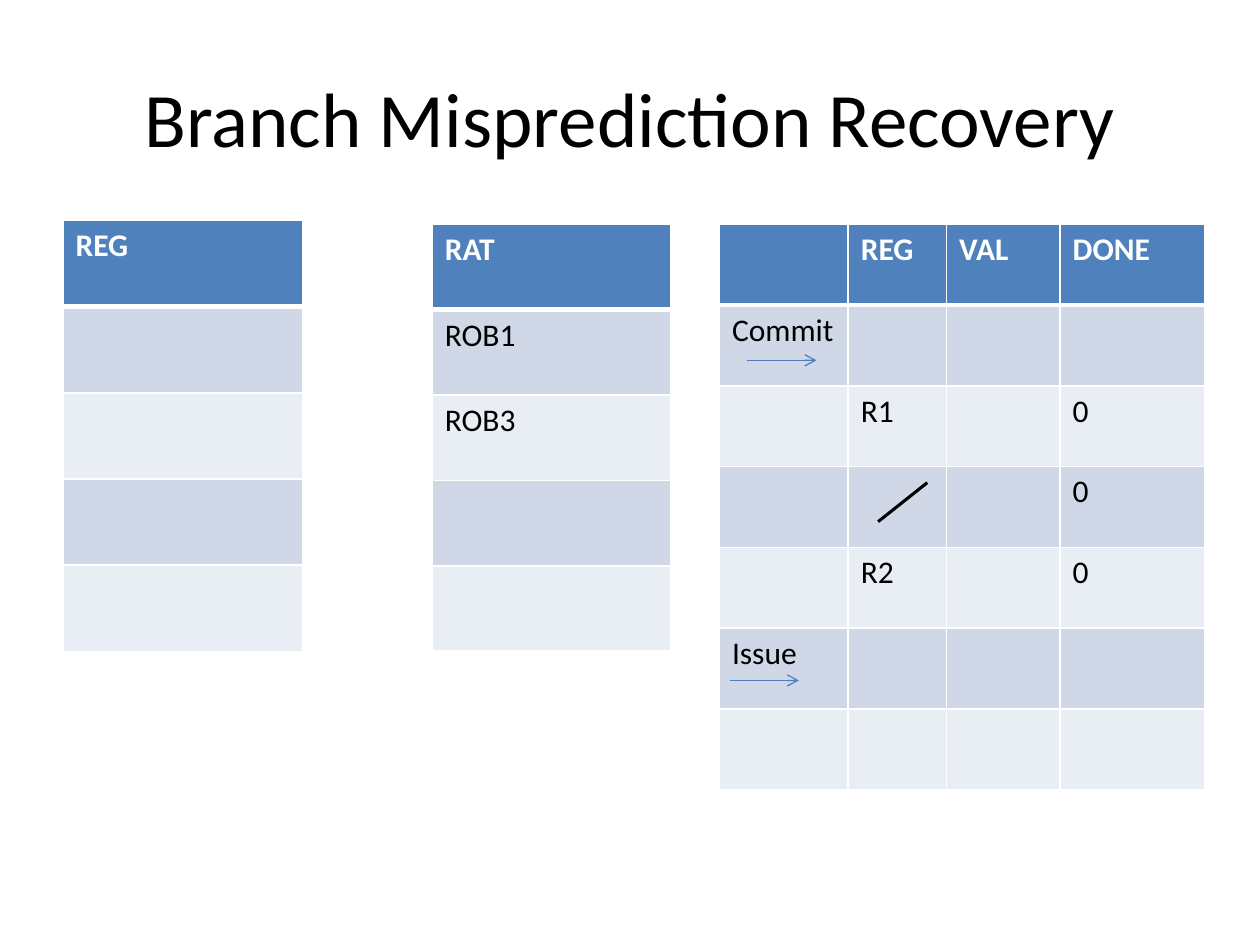
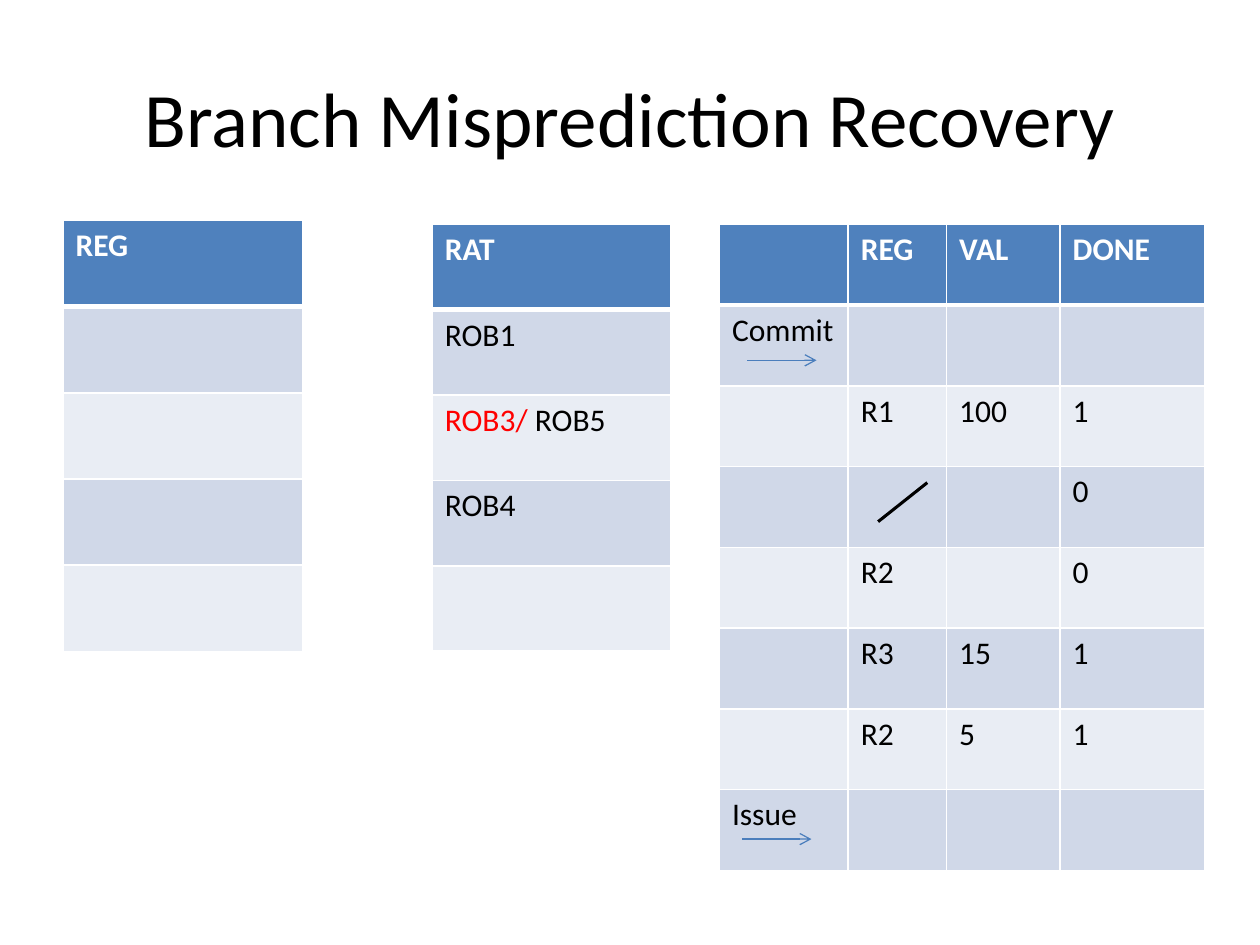
"""Build two slides on recovering register state after a branch misprediction."""
from lxml import etree
from pptx import Presentation
from pptx.dml.color import RGBColor
from pptx.enum.shapes import MSO_CONNECTOR
from pptx.enum.text import MSO_ANCHOR, PP_ALIGN
from pptx.oxml.ns import qn
from pptx.util import Pt

STRAIGHT = MSO_CONNECTOR.STRAIGHT
MIDDLE = MSO_ANCHOR.MIDDLE
LEFT, CENTER = PP_ALIGN.LEFT, PP_ALIGN.CENTER

FONT = "Calibri"
COLORS = {"text": "000000", "header_text": "FFFFFF", "header": "4F81BD", "odd": "D0D8E8",
          "even": "E9EDF4", "border": "FFFFFF", "arrow": "4B7EBC", "squashed": "FF0000"}

TITLE = "Branch Misprediction Recovery"
TITLE_BOX = (36, 21.6, 648, 90)
REGISTERS = [["REG"], [""], [""], [""], [""]]
ROB_HEADER = ["", "REG", "VAL", "DONE"]
COMMIT = ["Commit", "", "", ""]
ISSUE = ["Issue", "", "", ""]
EMPTY = ["", "", "", ""]

STAGES = [
    {"rat": [["RAT"], ["ROB1"], ["ROB3"], [""], [""]],
     "rob": [ROB_HEADER, COMMIT, ["", "R1", "", "0"], ["", "", "", "0"],
             ["", "R2", "", "0"], ISSUE, EMPTY],
     "issue_arrow": (416.9, 388.8)},
    {"rat": [["RAT"], ["ROB1"], [[("ROB3/", "squashed"), (" ROB5", "text")]], ["ROB4"], [""]],
     "rob": [ROB_HEADER, COMMIT, ["", "R1", "100", "1"], ["", "", "", "0"],
             ["", "R2", "", "0"], ["", "R3", "15", "1"], ["", "R2", "5", "1"], ISSUE],
     "issue_arrow": (424.1, 479.5)},
]

REGISTERS_PLACE = {"left": 36, "top": 126, "columns": [136.8], "row_height": 49.24}
RAT_PLACE = {"left": 247, "top": 128.2, "columns": [136.1], "row_height": 48.8}
ROB_PLACE = {"left": 411.1, "top": 128.2, "columns": [73.6, 56.2, 64.9, 82.9],
             "row_height": 46.17}
COMMIT_ARROW = (427, 205.9)
ARROW_LENGTH = 39.6
BRANCH_SLASH = ((501.8, 298.1), (529.9, 275.8))


def write(frame, content, *, size=18, color="text", bold=False, align=LEFT):
    """Write a string, or a list of (text, colour) pairs, as one paragraph."""
    paragraph = frame.paragraphs[0]
    paragraph.alignment = align
    paragraph.font.size = Pt(size)
    runs = [(content, color)] if isinstance(content, str) else content
    for words, run_color in runs:
        if not words:
            continue
        run = paragraph.add_run()
        run.text = words
        run.font.name = FONT
        run.font.size = Pt(size)
        run.font.bold = bold
        run.font.color.rgb = RGBColor.from_string(COLORS[run_color])


def add_title(slide):
    """Add the centred slide title."""
    title = slide.shapes.add_textbox(*map(Pt, TITLE_BOX))
    title.text_frame.word_wrap = True
    title.text_frame.vertical_anchor = MIDDLE
    write(title.text_frame, TITLE, size=44, align=CENTER)


def set_borders(cell, row_index):
    """Draw thin white borders, with a thick one below the header."""
    widths = {"L": 1, "R": 1, "T": 3 if row_index == 1 else 1, "B": 3 if row_index == 0 else 1}
    properties = cell._tc.get_or_add_tcPr()
    for position, (side, width) in enumerate(widths.items()):
        line = etree.Element(qn(f"a:ln{side}"), w=str(Pt(width)))
        fill = etree.SubElement(line, qn("a:solidFill"))
        etree.SubElement(fill, qn("a:srgbClr"), val=COLORS["border"])
        properties.insert(position, line)


def add_grid(slide, rows, *, left, top, columns, row_height):
    """Add a banded table with a header row."""
    table = slide.shapes.add_table(len(rows), len(columns), Pt(left), Pt(top),
                                   Pt(sum(columns)), Pt(row_height * len(rows))).table
    for column, width in zip(table.columns, columns):
        column.width = Pt(width)
    for row_index, row in enumerate(rows):
        table.rows[row_index].height = Pt(row_height)
        is_header = row_index == 0
        band = "header" if is_header else ("even", "odd")[row_index % 2]
        for column_index, content in enumerate(row):
            cell = table.cell(row_index, column_index)
            cell.fill.solid()
            cell.fill.fore_color.rgb = RGBColor.from_string(COLORS[band])
            set_borders(cell, row_index)
            write(cell.text_frame, content, bold=is_header,
                  color="header_text" if is_header else "text")


def add_line(slide, start, end, *, color, width, arrow=False):
    """Add a straight line, optionally with an open arrowhead at its end."""
    line = slide.shapes.add_connector(STRAIGHT, *map(Pt, (*start, *end)))
    line.line.color.rgb = RGBColor.from_string(COLORS[color])
    line.line.width = Pt(width)
    if arrow:
        etree.SubElement(line.line._get_or_add_ln(), qn("a:tailEnd"), type="arrow")
    etree.SubElement(line._element.spPr, qn("a:effectLst"))


def main():
    """Build and save the presentation."""
    presentation = Presentation()
    presentation.slide_width, presentation.slide_height = Pt(720), Pt(540)
    for stage in STAGES:
        slide = presentation.slides.add_slide(presentation.slide_layouts[6])
        add_title(slide)
        add_grid(slide, REGISTERS, **REGISTERS_PLACE)
        add_grid(slide, stage["rat"], **RAT_PLACE)
        add_grid(slide, stage["rob"], **ROB_PLACE)
        for x, y in (COMMIT_ARROW, stage["issue_arrow"]):
            add_line(slide, (x, y), (x + ARROW_LENGTH, y), color="arrow", width=0.75, arrow=True)
        add_line(slide, *BRANCH_SLASH, color="text", width=1.75)
    presentation.save("out.pptx")


if __name__ == "__main__":
    main()
